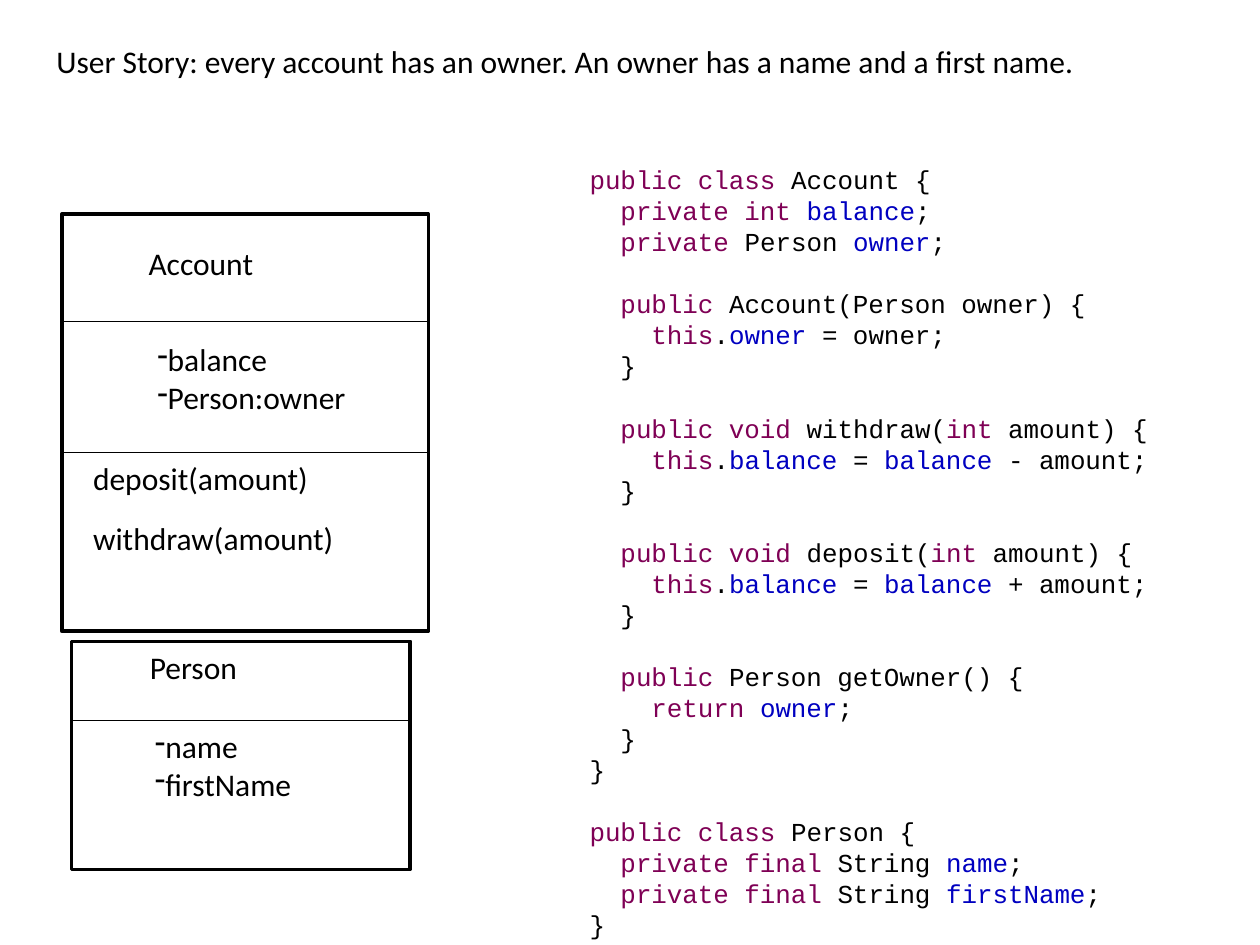
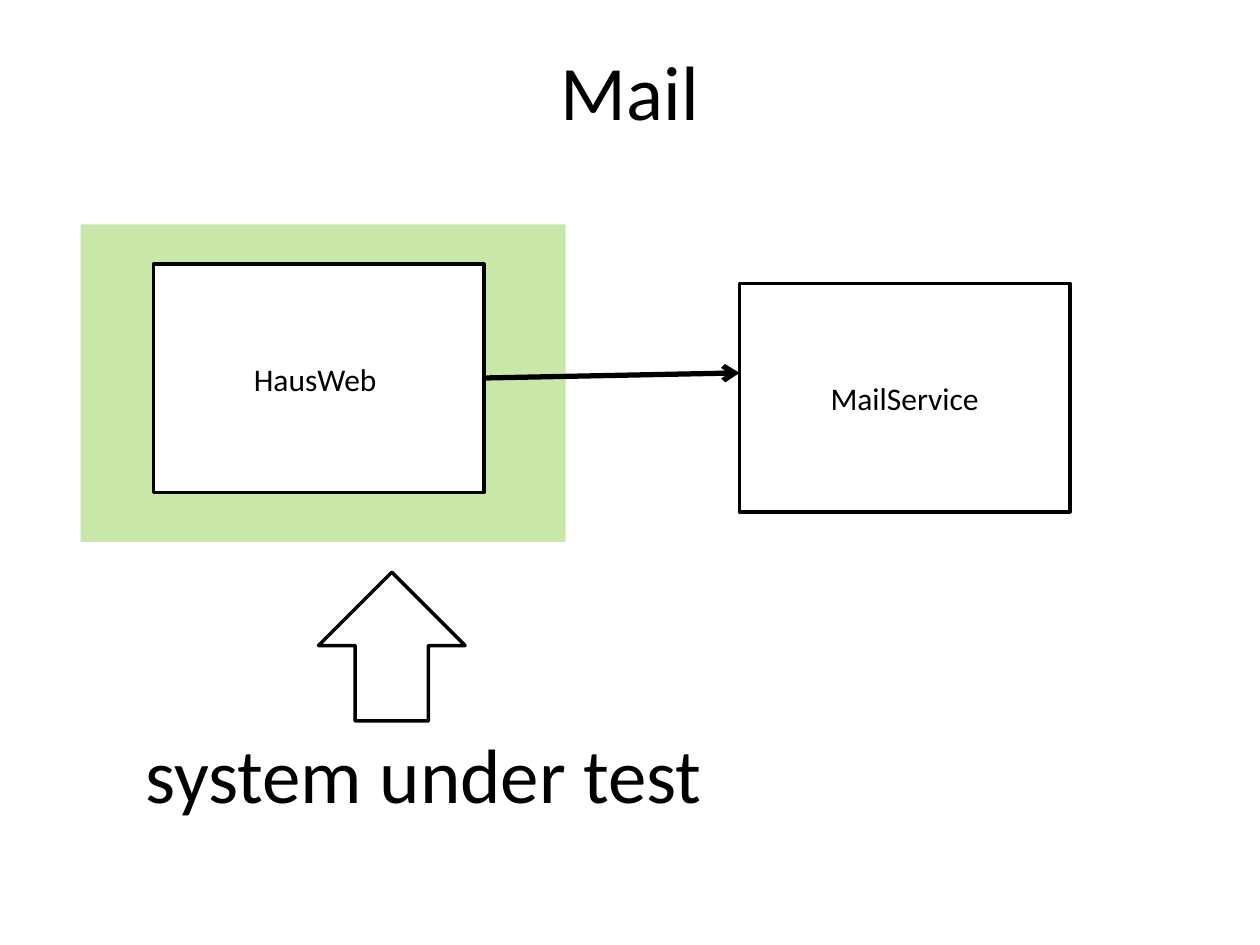
from dataclasses import dataclass

from lxml.etree import SubElement
from pptx import Presentation
from pptx.dml.color import RGBColor
from pptx.enum.shapes import MSO_CONNECTOR, MSO_SHAPE
from pptx.enum.text import MSO_ANCHOR, PP_ALIGN
from pptx.oxml.ns import qn
from pptx.util import Pt


@dataclass(frozen=True)
class Theme:
    ink: str = "000000"
    paper: str = "FFFFFF"
    key: str = "7F0055"
    field: str = "0000C0"
    zone: str = "92D050"
    sans: str = "Calibri"
    mono: str = "Courier New"
    head: float = 44
    body: float = 18
    code: float = 14.8
    pitch: float = 17.75
    thin: float = 0.75
    edge: float = 2
    bold: float = 3


THEME = Theme()

# A piece that starts with * is a keyword, one that starts with @ is a field.
CODE = """\
*public class| Account {
*  private int |@balance|;
*  private |Person |@owner|;

*  public |Account(Person owner) {
*    this|.|@owner |= owner;
  }

*  public void |withdraw(|*int |amount) {
*    this|.|@balance |= |@balance| - amount;
  }

*  public void |deposit(|*int |amount) {
*    this|.|@balance |= |@balance| + amount;
  }

*  public |Person getOwner() {
*    return |@owner|;
  }
}

*public class| Person {
*  private final| String |@name|;
*  private final| String |@firstName|;
}"""


def color(code):
    return RGBColor.from_string(code)


def add_run(para, text, size=THEME.body, face=THEME.sans, tint=THEME.ink):
    run = para.add_run()
    run.text = text
    run.font.size = Pt(size)
    run.font.name = face
    run.font.color.rgb = color(tint)


def lines(frame, items):
    """Yield one paragraph of the frame for each item."""
    for num, item in enumerate(items):
        yield (frame.add_paragraph() if num else frame.paragraphs[0]), item


def add_frame(slide, left, top, width, height):
    box = slide.shapes.add_textbox(Pt(left), Pt(top), Pt(width), Pt(height))
    box.text_frame.word_wrap = True
    return box.text_frame


def add_label(slide, text, left, top, width, height=29, size=THEME.body,
              align=PP_ALIGN.LEFT):
    para = add_frame(slide, left, top, width, height).paragraphs[0]
    para.alignment = align
    add_run(para, text, size)


def add_list(slide, items, left, top, width):
    frame = add_frame(slide, left, top, width, 51)
    for para, item in lines(frame, items):
        props = para._p.get_or_add_pPr()
        props.set("marL", "0")
        props.set("indent", "0")
        SubElement(props, qn("a:buChar")).set("char", "-")
        add_run(para, item)


def add_code(slide, code, left, top, width, height):
    """Add code text; an empty line becomes space before the next one."""
    frame = add_frame(slide, left, top, width, height)
    tints = {"*": THEME.key, "@": THEME.field}
    rows = [(row, part > 0 and num == 0)
            for part, block in enumerate(code.split("\n\n"))
            for num, row in enumerate(block.split("\n"))]
    for para, (row, gap) in lines(frame, rows):
        para.line_spacing = Pt(THEME.pitch)
        if gap:
            para.space_before = Pt(THEME.pitch)
        for piece in row.split("|"):
            tint = tints.get(piece[0], THEME.ink)
            add_run(para, piece.lstrip("*@"), THEME.code, THEME.mono, tint)


def add_box(slide, left, top, width, height, kind=MSO_SHAPE.RECTANGLE,
            text=None):
    box = slide.shapes.add_shape(kind, Pt(left), Pt(top), Pt(width), Pt(height))
    box.shadow.inherit = False
    box.fill.solid()
    box.fill.fore_color.rgb = color(THEME.paper)
    box.line.color.rgb = color(THEME.ink)
    box.line.width = Pt(THEME.edge)
    if text:
        frame = box.text_frame
        frame.word_wrap = True
        frame.vertical_anchor = MSO_ANCHOR.MIDDLE
        frame.paragraphs[0].alignment = PP_ALIGN.CENTER
        add_run(frame.paragraphs[0], text)
    return box


def add_zone(slide, left, top, width, height):
    """Add a see-through area without an outline."""
    zone = add_box(slide, left, top, width, height)
    zone.line.fill.background()
    zone.fill.fore_color.rgb = color(THEME.zone)
    tint = zone._element.spPr.find(qn("a:solidFill"))[0]
    SubElement(tint, qn("a:alpha")).set("val", "49000")


def add_line(slide, start, end, width=THEME.thin, arrow=False):
    line = slide.shapes.add_connector(
        MSO_CONNECTOR.STRAIGHT, *map(Pt, start), *map(Pt, end))
    line.line.color.rgb = color(THEME.ink)
    line.line.width = Pt(width)
    if arrow:
        SubElement(line.line._get_or_add_ln(), qn("a:tailEnd")).set("type", "arrow")
    SubElement(line._element.spPr, qn("a:effectLst"))


def add_class(slide, left, top, width, height, rules):
    """Add a class box with a rule at each given height."""
    add_box(slide, left, top, width, height)
    for rule in rules:
        add_line(slide, (left, rule), (left + width, rule))


def build_story(slide):
    add_label(slide, "User Story: every account has an owner. "
              "An owner has a name and a first name.", 25.2, 20.2, 659.5)

    add_class(slide, 41, 366.5, 193.5, 130.3, [411.8])
    add_label(slide, "Person", 78.5, 366.5, 135.4)
    add_list(slide, ["name", "firstName"], 81.4, 411.8, 110)

    add_class(slide, 35.3, 122.4, 209.5, 238.3, [183.6, 258.5])
    add_label(slide, "Account", 77.8, 136.1, 146.2)
    add_list(slide, ["balance", "Person:owner"], 82.8, 190.8, 140)
    for num, name in enumerate(["deposit(amount)", "withdraw(amount)"]):
        add_label(slide, name, 46.1, 258.5 + 34.3 * num, 188.6)

    add_code(slide, CODE, 329.8, 90, 336.2, 430.6)


def build_mail(slide):
    add_zone(slide, 46.1, 128.2, 277.2, 181.4)
    add_label(slide, "Mail", 36, 21.6, 648, 90, THEME.head, PP_ALIGN.CENTER)
    for name, left, top in [("HausWeb ", 87.8, 151), ("MailService", 422.6, 162)]:
        add_box(slide, left, top, 188.8, 130.6, text=name)
    add_line(slide, (276.6, 216), (422.6, 213.1), THEME.bold, arrow=True)
    arrow = add_box(slide, 181.4, 327.6, 85, 83.8, MSO_SHAPE.RIGHT_ARROW)
    arrow.rotation = 270
    add_label(slide, "system under test", 61.9, 411.8, 360.7, 90,
              THEME.head, PP_ALIGN.CENTER)


def main():
    deck = Presentation()
    deck.slide_width, deck.slide_height = Pt(720), Pt(540)
    for build in (build_story, build_mail):
        build(deck.slides.add_slide(deck.slide_layouts[6]))
    deck.save("out.pptx")


if __name__ == "__main__":
    main()
